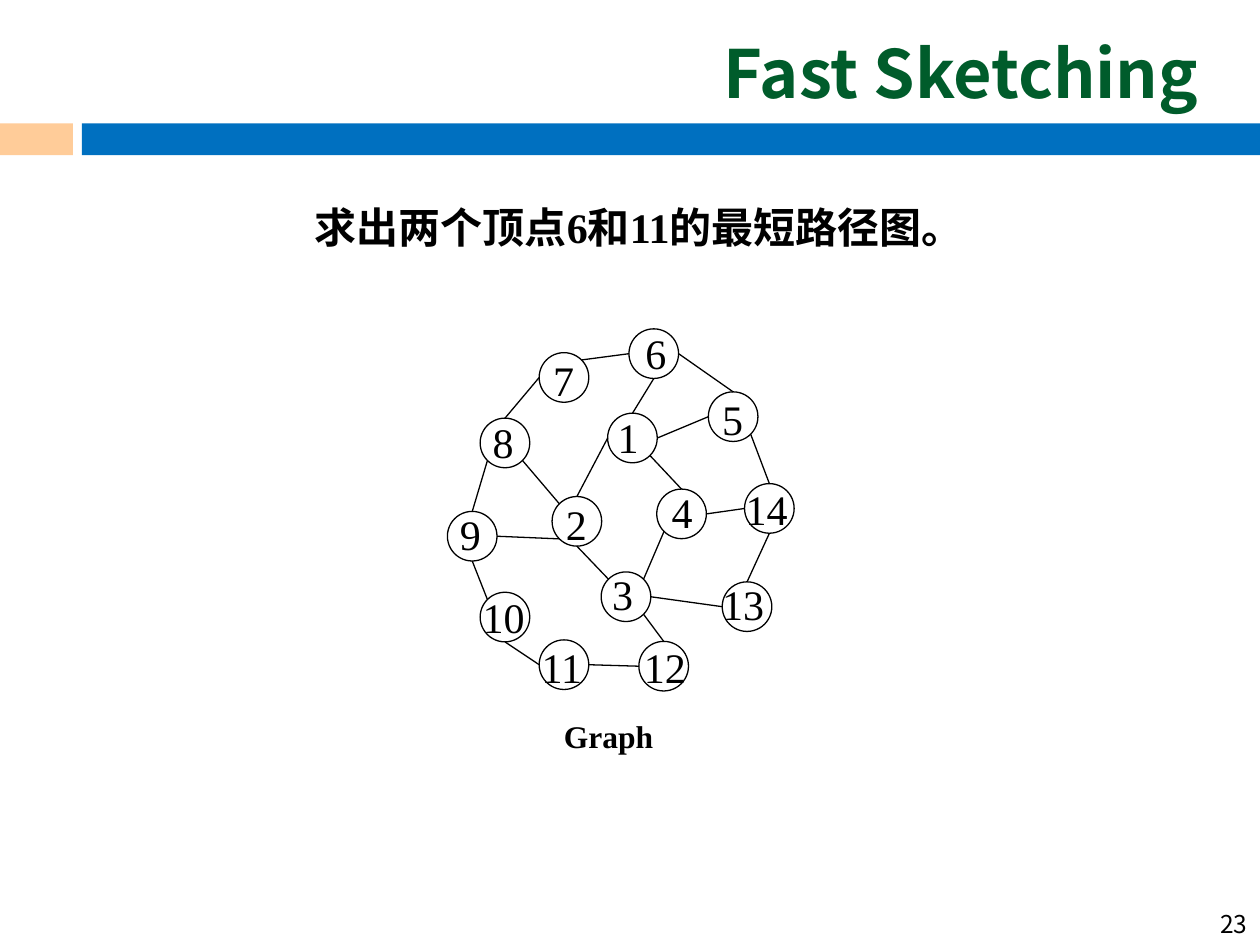
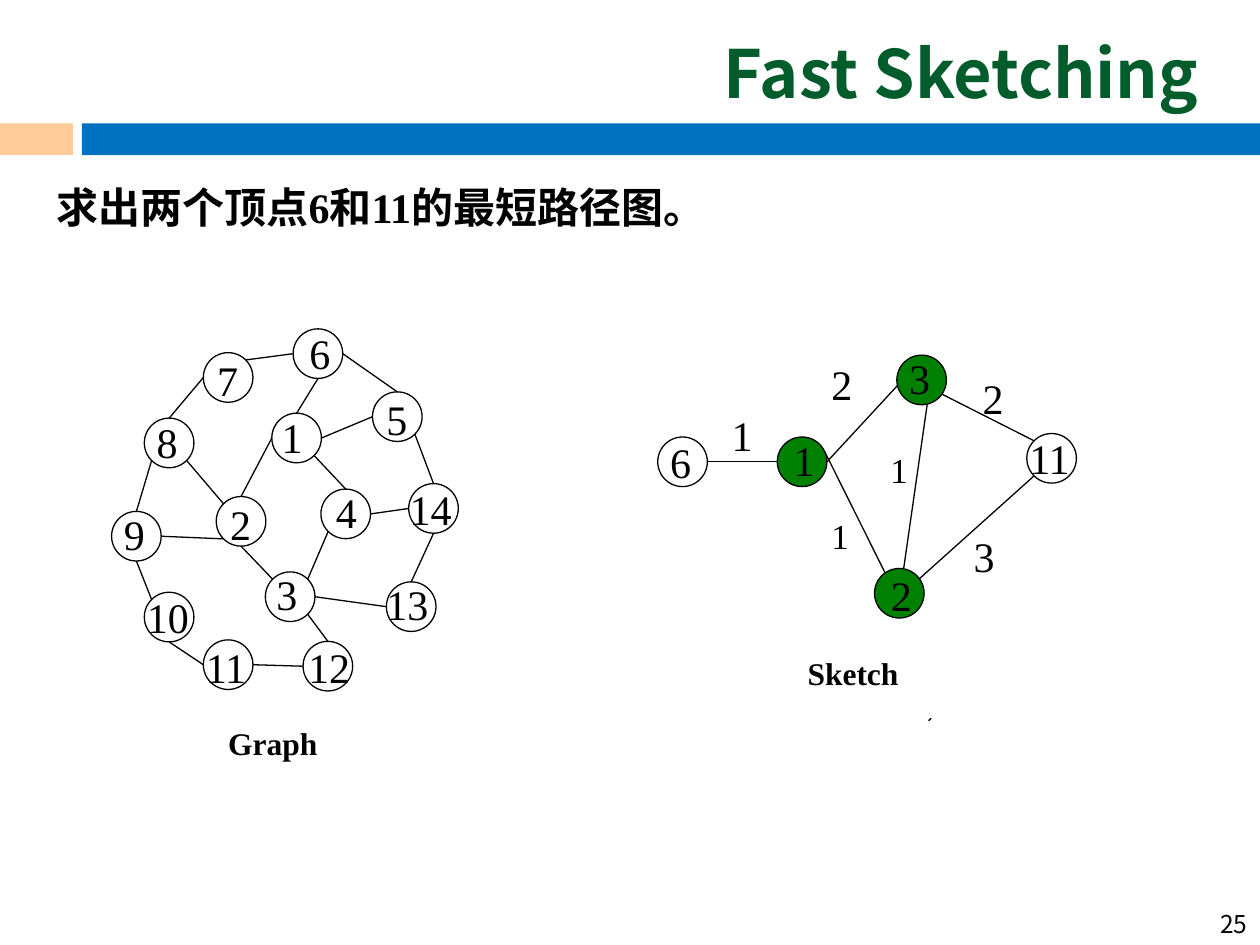
import math
from dataclasses import dataclass

import lxml.etree
import pptx
import pptx.dml.color
import pptx.enum.shapes
import pptx.enum.text
import pptx.oxml.ns
import pptx.util
from pptx.util import Cm


@dataclass(frozen=True)
class Theme:
    ink: str = "000000"
    paper: str = "FFFFFF"
    title: str = "005C2B"
    band: str = "0070C0"
    accent: str = "FFCC99"
    landmark: str = "008000"
    sans: str = "Noto Sans CJK SC"
    serif: str = "Times New Roman"
    title_size: int = 38
    body_size: int = 24
    weight_size: int = 20
    caption_size: int = 18
    page_size: int = 14
    line_width: float = 0.75


THEME = Theme()
SLIDE_WIDTH, SLIDE_HEIGHT = 25.4, 19.05
DIAMETER = 1.0
DIGIT_WIDTH, NUMBER_WIDTH = 0.97, 1.52
TITLE = "Fast Sketching"
PROMPT = "求出两个顶点6和11的最短路径图。"

E, SE, S, SW, W, NW, N, NE = range(0, 360, 45)

# vertex: left, top, label shift right, label shift down
GRAPH_VERTICES = {
    1: (3.23, 8.33, -0.05, -0.15),
    2: (2.11, 10.01, 0.03, -0.08),
    3: (3.1, 11.53, -0.03, -0.2),
    4: (4.22, 9.86, 0.05, -0.18),
    5: (5.26, 7.9, 0.03, -0.1),
    6: (3.66, 6.63, 0.08, -0.15),
    7: (1.85, 7.11, 0.03, -0.08),
    8: (0.66, 8.43, 0, -0.15),
    9: (0, 10.31, 0, -0.18),
    10: (0.66, 11.94, -0.2, -0.15),
    11: (1.85, 12.9, -0.2, -0.1),
    12: (3.86, 12.93, -0.15, -0.13),
    13: (5.54, 11.73, -0.25, -0.2),
    14: (5.99, 9.75, -0.23, -0.13),
}
GRAPH_EDGES = [
    (7, NE, 6, W), (8, N, 7, W), (8, SW, 9, N), (9, S, 10, NW),
    (10, S, 11, W), (11, E, 12, W), (3, SE, 12, N), (3, E, 13, W),
    (13, N, 14, S), (4, E, 14, W), (5, SE, 14, N), (6, E, 5, N),
    (1, W, 2, N), (8, SE, 2, NW), (9, E, 2, SW), (1, SE, 4, N),
    (2, S, 3, NW), (1, N, 6, S), (1, E, 5, W), (3, NE, 4, SW),
]
SKETCH_VERTICES = {
    6: (0, 8.81, 0, -0.13),
    1: (2.41, 8.81, 0.08, -0.18),
    3: (4.82, 7.16, 0, -0.18),
    2: (4.37, 11.46, 0.08, -0.1),
    11: (7.44, 8.74, -0.2, -0.15),
}
SKETCH_EDGES = [
    (3, 167, 1, E), (1, 336, 2, 235), (3, 77, 2, 280),
    (6, E, 1, W), (3, 35, 11, NW), (2, 324, 11, SW),
]
SKETCH_WEIGHTS = [
    ("1", 1.24, 8.13, THEME.body_size),
    ("1", 3.25, 10.24, THEME.weight_size),
    ("2", 3.25, 7.11, THEME.body_size),
    ("1", 4.44, 8.92, THEME.weight_size),
    ("2", 6.3, 7.39, THEME.body_size),
    ("3", 6.12, 10.57, THEME.body_size),
]
LANDMARKS = {1, 2, 3}


def rgb(value):
    return pptx.dml.color.RGBColor.from_string(value)


def apply(target, values):
    for name, value in values.items():
        setattr(target, name, value)


def add_text(slide, text, left, top, width, height, size, color=THEME.ink,
             face=THEME.serif, bold=False, frame=None, right=False):
    box = slide.shapes.add_textbox(Cm(left), Cm(top), Cm(width), Cm(height))
    apply(box.text_frame, {"word_wrap": True, **(frame or {})})
    paragraph = box.text_frame.paragraphs[0]
    if right:
        paragraph.alignment = pptx.enum.text.PP_ALIGN.RIGHT
    run = paragraph.add_run()
    run.text = text
    run.font.color.rgb = rgb(color)
    apply(run.font, {"name": face, "size": pptx.util.Pt(size), "bold": bold})
    lxml.etree.SubElement(run.font._element, pptx.oxml.ns.qn("a:ea"), typeface=THEME.sans)


def add_fill(slide, kind, left, top, width, height, color, outlined=False):
    shape = slide.shapes.add_shape(kind, Cm(left), Cm(top), Cm(width), Cm(height))
    shape.shadow.inherit = False
    shape.fill.solid()
    shape.fill.fore_color.rgb = rgb(color)
    if outlined:
        shape.line.color.rgb = rgb(THEME.ink)
        shape.line.width = pptx.util.Pt(THEME.line_width)
    else:
        shape.line.fill.background()


def add_line(slide, start, end):
    line = slide.shapes.add_connector(
        pptx.enum.shapes.MSO_CONNECTOR.STRAIGHT, *map(Cm, (*start, *end)))
    line.line.color.rgb = rgb(THEME.ink)
    line.line.width = pptx.util.Pt(THEME.line_width)
    lxml.etree.SubElement(line._element.spPr, pptx.oxml.ns.qn("a:effectLst"))


def rim_point(vertex, angle, origin):
    radius = DIAMETER / 2
    turn = math.radians(angle)
    return (origin + vertex[0] + radius * (1 + math.cos(turn)),
            vertex[1] + radius * (1 + math.sin(turn)))


def add_network(slide, vertices, edges, origin, landmarks=()):
    oval = pptx.enum.shapes.MSO_SHAPE.OVAL
    for number, (left, top, _, _) in vertices.items():
        color = THEME.landmark if number in landmarks else THEME.paper
        add_fill(slide, oval, origin + left, top, DIAMETER, DIAMETER, color, outlined=True)
    for first, first_angle, second, second_angle in edges:
        add_line(slide, rim_point(vertices[first], first_angle, origin),
                 rim_point(vertices[second], second_angle, origin))
    for number, (left, top, shift_x, shift_y) in vertices.items():
        width = DIGIT_WIDTH if number < 10 else NUMBER_WIDTH
        add_text(slide, str(number), origin + left + shift_x, top + shift_y,
                 width, 1.27, THEME.body_size)


def add_caption(slide, text, left, top):
    add_text(slide, text, left, top, 3.58, 1.02, THEME.caption_size, bold=True)


def add_exercise(deck, page, prompt_left, prompt_top):
    slide = deck.slides.add_slide(deck.slide_layouts[6])
    for left, width, color in ((1.65, 23.75, THEME.band), (0, 1.47, THEME.accent)):
        add_fill(slide, pptx.enum.shapes.MSO_SHAPE.RECTANGLE, left, 2.49, width, 0.64, color)
    bottom = {"vertical_anchor": pptx.enum.text.MSO_ANCHOR.BOTTOM}
    add_text(slide, TITLE, 3.51, 0.79, 20.9, 1.47, THEME.title_size, THEME.title,
             THEME.sans, True, {**bottom, "margin_top": 0, "margin_bottom": 0}, right=True)
    add_text(slide, str(page), 20.12, 17.78, 5.28, 1.27, THEME.page_size,
             face=THEME.sans, frame=bottom, right=True)
    add_text(slide, PROMPT, prompt_left, prompt_top,
             min(23.62, SLIDE_WIDTH - prompt_left), 1.27, THEME.body_size, bold=True)
    return slide


def add_graph(slide, origin, caption_top):
    add_caption(slide, "Graph", origin + 2.1, caption_top)
    add_network(slide, GRAPH_VERTICES, GRAPH_EDGES, origin)


def add_sketch(slide, origin):
    add_network(slide, SKETCH_VERTICES, SKETCH_EDGES, origin, LANDMARKS)
    for weight, left, top, size in SKETCH_WEIGHTS:
        add_text(slide, weight, origin + left, top, 1.47, 1.27, size)
    add_line(slide, (18.77, 14.48), (18.72, 14.53))
    add_caption(slide, "Sketch", origin + 2.77, 13.06)


def main():
    deck = pptx.Presentation()
    apply(deck, {"slide_width": Cm(SLIDE_WIDTH), "slide_height": Cm(SLIDE_HEIGHT)})

    question = add_exercise(deck, 23, 6.1, 3.94)
    add_graph(question, 9.02, 14.33)

    answer = add_exercise(deck, 25, 0.89, 3.53)
    add_graph(answer, 2.25, 14.48)
    add_sketch(answer, 13.26)

    deck.save("out.pptx")


if __name__ == "__main__":
    main()
